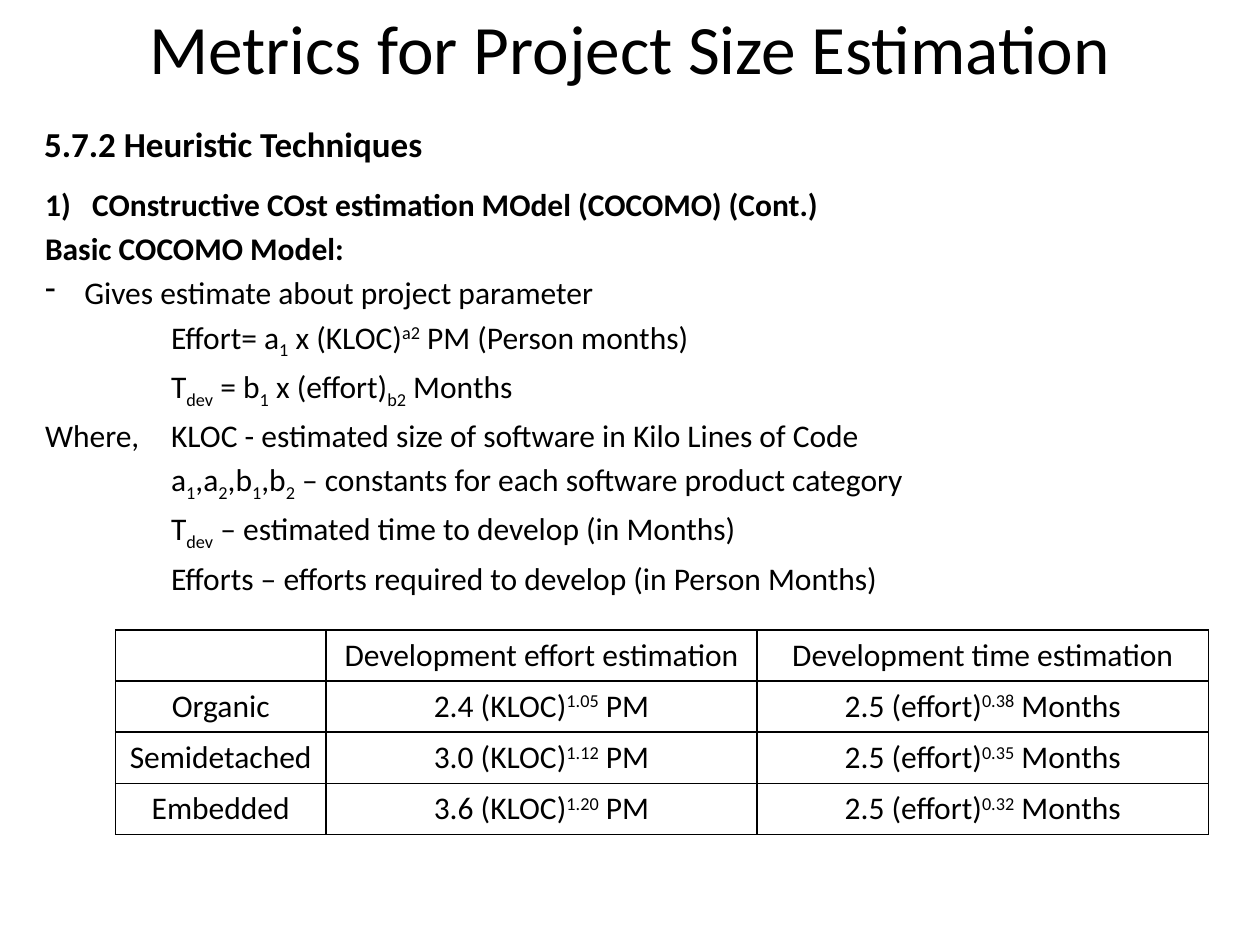
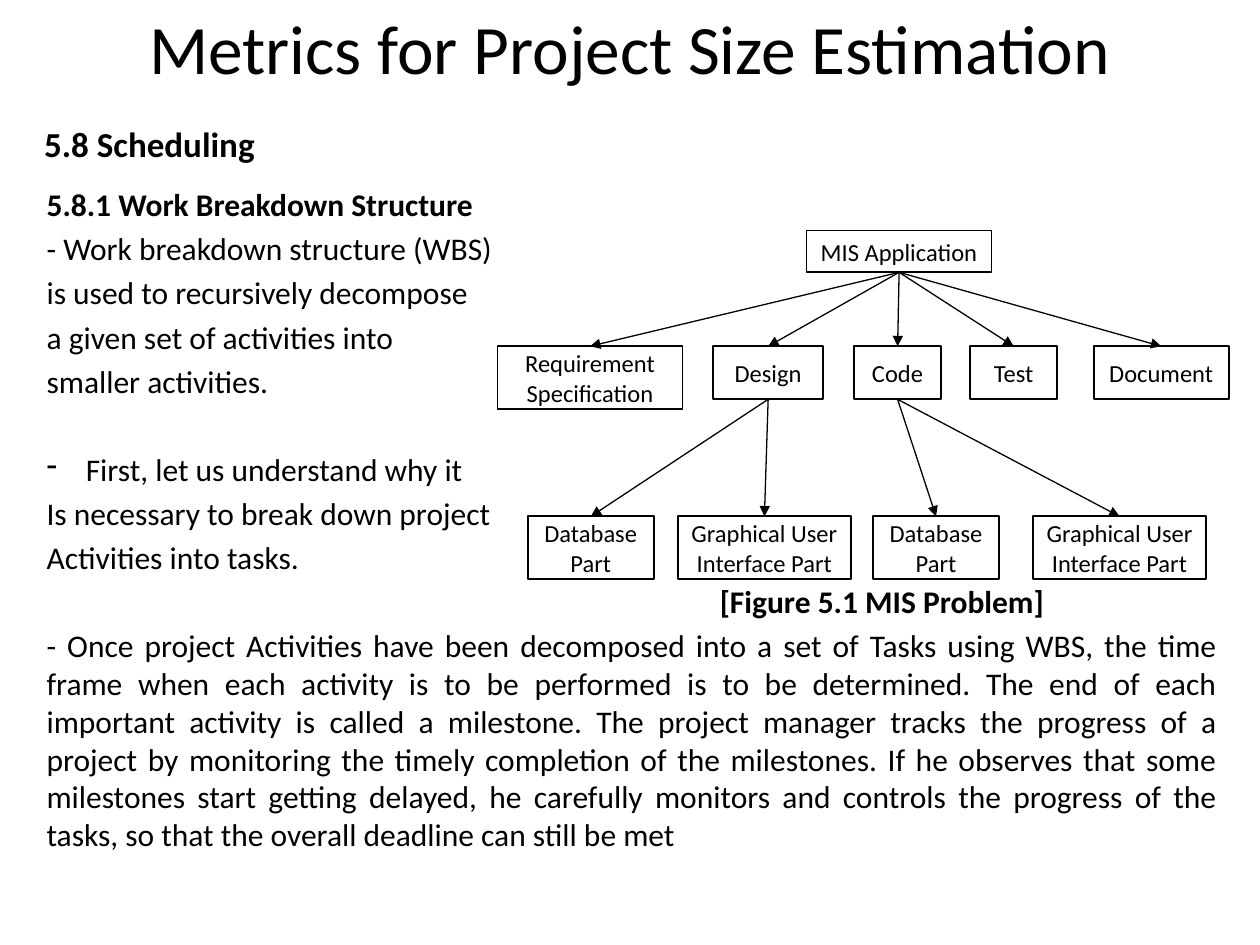
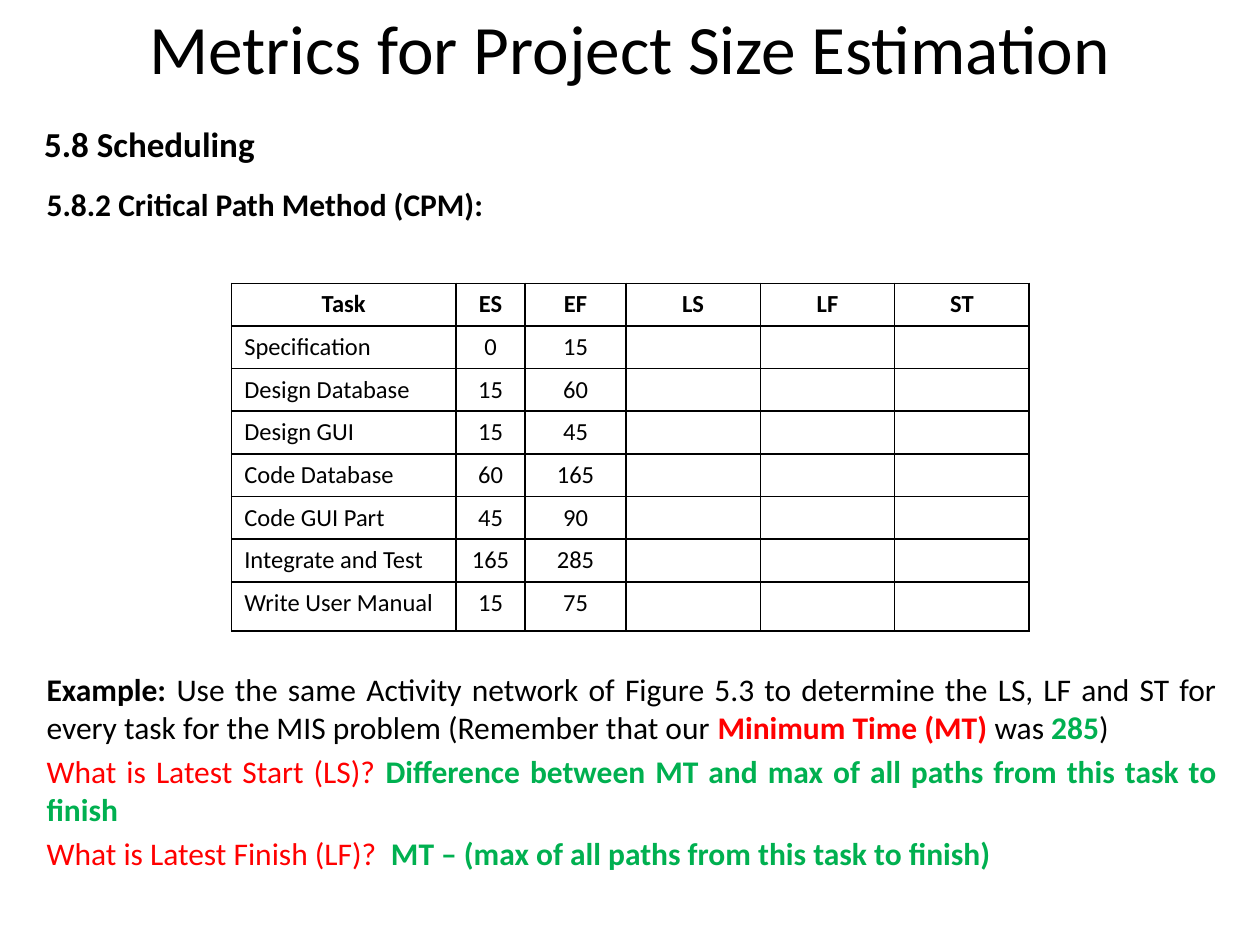
from lxml.etree import SubElement
from pptx import Presentation
from pptx.dml.color import RGBColor
from pptx.enum.shapes import MSO_CONNECTOR, MSO_SHAPE
from pptx.enum.text import MSO_ANCHOR, PP_ALIGN
from pptx.oxml.ns import qn
from pptx.util import Cm, Pt

# Shared look
COLORS = {"ink": "000000", "question": "FF0000", "answer": "00B050"}
FONT = "Calibri"
TITLE_SIZE, HEADING_SIZE, BODY_SIZE, SMALL_SIZE = 39.6, 20, 18, 14
GAP = 3.6
LINE = 25.2
TITLE_BOX = (0, 0, 25.4, 1.9)
LEFT, CENTER, JUSTIFY = PP_ALIGN.LEFT, PP_ALIGN.CENTER, PP_ALIGN.JUSTIFY
DASH = ("buChar", {"char": "-"})
NUMBER = ("buAutoNum", {"type": "arabicParenR"})


# Runs are plain strings or (text, format) pairs
def sub(text):
    return text, {"baseline": -25000}


def sup(text):
    return text, {"baseline": 30000}


def bold(text, color="ink"):
    return text, {"bold": True, "color": color}


def para(*runs, **layout):
    return {"runs": runs, "before": GAP, **layout}


def formula(*runs):
    return para(*runs, left=2.54)


# Content
TITLE = "Metrics for Project Size Estimation"

COCOMO = [
    para(bold("COnstructive COst estimation MOdel (COCOMO) (Cont.)"),
         left=0.95, first=-0.95, bullet=NUMBER),
    para(bold("Basic COCOMO Model: ")),
    para("Gives estimate about project parameter", left=0.79, first=-0.79, bullet=DASH),
    formula("Effort= a", sub("1"), " x (KLOC)", sup("a2"), " PM (Person months)"),
    formula("T", sub("dev"), " = b", sub("1"), " x (effort)", sub("b2"), " Months"),
    para("Where, \tKLOC - estimated size of software in Kilo Lines of Code",
         left=2.54, first=-2.54),
    formula("a", sub("1"), ",a", sub("2"), ",b", sub("1"), ",b", sub("2"),
            " – constants for each software product category"),
    formula("T", sub("dev"), " – estimated time to develop (in Months)"),
    formula("Efforts – efforts required to develop (in Person Months)"),
]
MODELS = [
    ("Organic", "2.4", "1.05", "0.38"),
    ("Semidetached", "3.0", "1.12", "0.35"),
    ("Embedded", "3.6", "1.20", "0.32"),
]

BREAKDOWN = [
    para(bold("5.8.1 Work Breakdown Structure")),
    para("- Work breakdown structure (WBS)"),
    para("is used to recursively decompose"),
    para("a given set of activities into"),
    para("smaller activities."),
    para("First, let us understand why it", left=0.79, first=-0.79, bullet=DASH,
         before=GAP + LINE),
    para("Is necessary to break down project"),
    para("Activities into tasks."),
    para(bold("[Figure 5.1 MIS Problem]"), left=10.08, align=CENTER),
    para("- Once project Activities have been decomposed into a set of Tasks using WBS, "
         "the time frame when each activity is to be performed is to be determined. "
         "The end of each important activity is called a milestone. The project manager "
         "tracks the progress of a project by monitoring the timely completion of the "
         "milestones. If he observes that some milestones start getting delayed, he "
         "carefully monitors and controls the progress of the tasks, so that the overall "
         "deadline can still be met", align=JUSTIFY),
]
# Each node: text, left, width, height, children
DATABASE, INTERFACE = "Database Part", "Graphical User Interface Part"
WORK_TREE = ("MIS Application", 16.26, 3.73, 0.84, [
    ("Requirement Specification", 10.03, 3.73, 1.27, []),
    ("Design", 14.38, 2.21, 1.07, [
        (DATABASE, 10.64, 2.54, 1.27, []),
        (INTERFACE, 13.67, 3.48, 1.27, []),
    ]),
    ("Code", 17.22, 1.75, 1.07, [
        (DATABASE, 17.6, 2.54, 1.27, []),
        (INTERFACE, 20.83, 3.48, 1.27, []),
    ]),
    ("Test", 19.56, 1.75, 1.07, []),
    ("Document", 22.05, 2.72, 1.07, []),
])
LEVEL_TOPS = (4.65, 6.98, 10.41)

CRITICAL_PATH = [
    para(bold("5.8.2 Critical Path Method (CPM):")),
    para(bold("Example: "), "Use the same Activity network of Figure 5.3 to determine "
         "the LS, LF and ST for every task for the MIS problem (Remember that our ",
         bold("Minimum Time (MT)", "question"), " was ", bold("285", "answer"), ")",
         align=JUSTIFY, before=GAP + 10 * LINE),
    para(("What is Latest Start (LS)? ", {"color": "question"}),
         bold("Difference between MT and max of all paths from this task to finish", "answer"),
         align=JUSTIFY),
    para(("What is Latest Finish (LF)?  ", {"color": "question"}),
         bold("MT – (max of all paths from this task to finish)", "answer"),
         align=JUSTIFY),
]
TASK_HEADS = ("Task", "ES", "EF", "LS", "LF", "ST")
TASKS = [
    ("Specification", 0, 15),
    ("Design Database", 15, 60),
    ("Design GUI", 15, 45),
    ("Code Database", 60, 165),
    ("Code GUI Part", 45, 90),
    ("Integrate and Test", 165, 285),
    ("Write User Manual", 15, 75),
]


# Text
def apply(target, formats):
    for name, value in formats.items():
        setattr(target, name, value)


def write_run(paragraph, run, size):
    text, extra = (run, {}) if isinstance(run, str) else run
    piece = paragraph.add_run()
    piece.text = text
    apply(piece.font, {"name": FONT, "size": Pt(size), "bold": extra.get("bold", False)})
    piece.font.color.rgb = RGBColor.from_string(COLORS[extra.get("color", "ink")])
    if "baseline" in extra:
        piece.font._element.set("baseline", str(extra["baseline"]))


def write(frame, paragraphs, size):
    for number, content in enumerate(paragraphs):
        paragraph = frame.add_paragraph() if number else frame.paragraphs[0]
        apply(paragraph, {"alignment": content.get("align", LEFT),
                          "space_before": Pt(content["before"])})
        properties = paragraph._p.get_or_add_pPr()
        properties.set("marL", str(Cm(content.get("left", 0))))
        properties.set("indent", str(Cm(content.get("first", 0))))
        if "bullet" in content:
            tag, attributes = content["bullet"]
            SubElement(properties, qn(f"a:{tag}"), attributes)
        for run in content["runs"]:
            write_run(paragraph, run, size)
        if not content["runs"]:
            SubElement(paragraph._p, qn("a:endParaRPr"), sz=str(size * 100))


def add_text(slide, box, paragraphs, size, anchor=MSO_ANCHOR.TOP):
    frame = slide.shapes.add_textbox(*map(Cm, box)).text_frame
    apply(frame, {"word_wrap": True, "vertical_anchor": anchor})
    write(frame, paragraphs, size)


def add_slide(heading, heading_height, body, body_box):
    slide = deck.slides.add_slide(deck.slide_layouts[6])
    add_text(slide, TITLE_BOX, [para(TITLE, align=CENTER, before=0)], TITLE_SIZE,
             MSO_ANCHOR.MIDDLE)
    add_text(slide, (0.64, 2.34, 24.13, heading_height), [para(bold(heading))], HEADING_SIZE)
    add_text(slide, body_box, body, BODY_SIZE)
    return slide


# Tables
def add_border(cell):
    properties = cell._tc.get_or_add_tcPr()
    for side in ("lnL", "lnR", "lnT", "lnB"):
        edge = SubElement(properties, qn(f"a:{side}"), w=str(Pt(1)))
        paint = SubElement(edge, qn("a:solidFill"))
        SubElement(paint, qn("a:srgbClr"), val=COLORS["ink"])


def add_grid(slide, left, top, widths, heights, rows, size):
    grid = slide.shapes.add_table(len(rows), len(widths), Cm(left), Cm(top),
                                  Cm(sum(widths)), Cm(sum(heights))).table
    apply(grid, {"first_row": False, "horz_banding": False})
    for column, width in zip(grid.columns, widths):
        column.width = Cm(width)
    for r, (row, height) in enumerate(zip(rows, heights)):
        grid.rows[r].height = Cm(height)
        for c, content in enumerate(row):
            cell = grid.cell(r, c)
            add_border(cell)
            cell.fill.background()
            write(cell.text_frame, [content], size)


def cell_text(*runs, align=CENTER):
    return para(*runs, align=align, before=0)


# Work breakdown tree
def add_node(slide, node, level=0):
    text, left, width, height, children = node
    box = slide.shapes.add_shape(MSO_SHAPE.RECTANGLE, Cm(left), Cm(LEVEL_TOPS[level]),
                                 Cm(width), Cm(height))
    box.shadow.inherit = False
    box.fill.background()
    box.line.color.rgb = RGBColor.from_string(COLORS["ink"])
    box.line.width = Pt(1)
    apply(box.text_frame, {"word_wrap": True, "vertical_anchor": MSO_ANCHOR.MIDDLE})
    write(box.text_frame, [cell_text(text)], SMALL_SIZE)
    for child in children:
        add_arrow(slide, box, add_node(slide, child, level + 1))
    return box


def add_arrow(slide, parent, child):
    arrow = slide.shapes.add_connector(MSO_CONNECTOR.STRAIGHT, 0, 0, 0, 0)
    arrow.begin_connect(parent, 2)
    arrow.end_connect(child, 0)
    arrow.line.color.rgb = RGBColor.from_string(COLORS["ink"])
    arrow.line.width = Pt(0.75)
    SubElement(arrow.line._get_or_add_ln(), qn("a:tailEnd"), type="triangle")
    SubElement(arrow._element.spPr, qn("a:effectLst"))


deck = Presentation()
apply(deck, {"slide_width": Cm(25.4), "slide_height": Cm(19.05)})

# Slide 1: COCOMO
cocomo = add_slide("5.7.2 Heuristic Techniques", 1.47, COCOMO, (0.66, 3.61, 24.1, 14.17))
model_rows = [[cell_text(), cell_text("Development effort estimation"),
               cell_text("Development time estimation")]]
for model, factor, effort_power, time_power in MODELS:
    model_rows.append([cell_text(model),
                       cell_text(f"{factor} (KLOC)", sup(effort_power), " PM"),
                       cell_text("2.5 (effort)", sup(time_power), " Months")])
add_grid(cocomo, 2.33, 12.7, (4.24, 8.69, 9.1), [1.03] * len(model_rows), model_rows, BODY_SIZE)

# Slide 2: work breakdown structure
breakdown = add_slide("5.8 Scheduling", 1.07, BREAKDOWN, (0.69, 3.61, 24.1, 15.24))
add_node(breakdown, WORK_TREE)

# Slide 3: critical path method
critical = add_slide("5.8 Scheduling", 1.07, CRITICAL_PATH, (0.69, 3.61, 24.1, 15.24))
task_rows = [[cell_text(bold(head)) for head in TASK_HEADS]]
for task, start, finish in TASKS:
    task_rows.append([cell_text(task, align=LEFT), cell_text(str(start)),
                      cell_text(str(finish))] + [cell_text()] * 3)
add_grid(critical, 4.67, 5.71, (4.52, 1.4, 2.03, 2.71, 2.71, 2.71),
         [0.86] * len(TASKS) + [0.99], task_rows, SMALL_SIZE)

deck.save("out.pptx")
